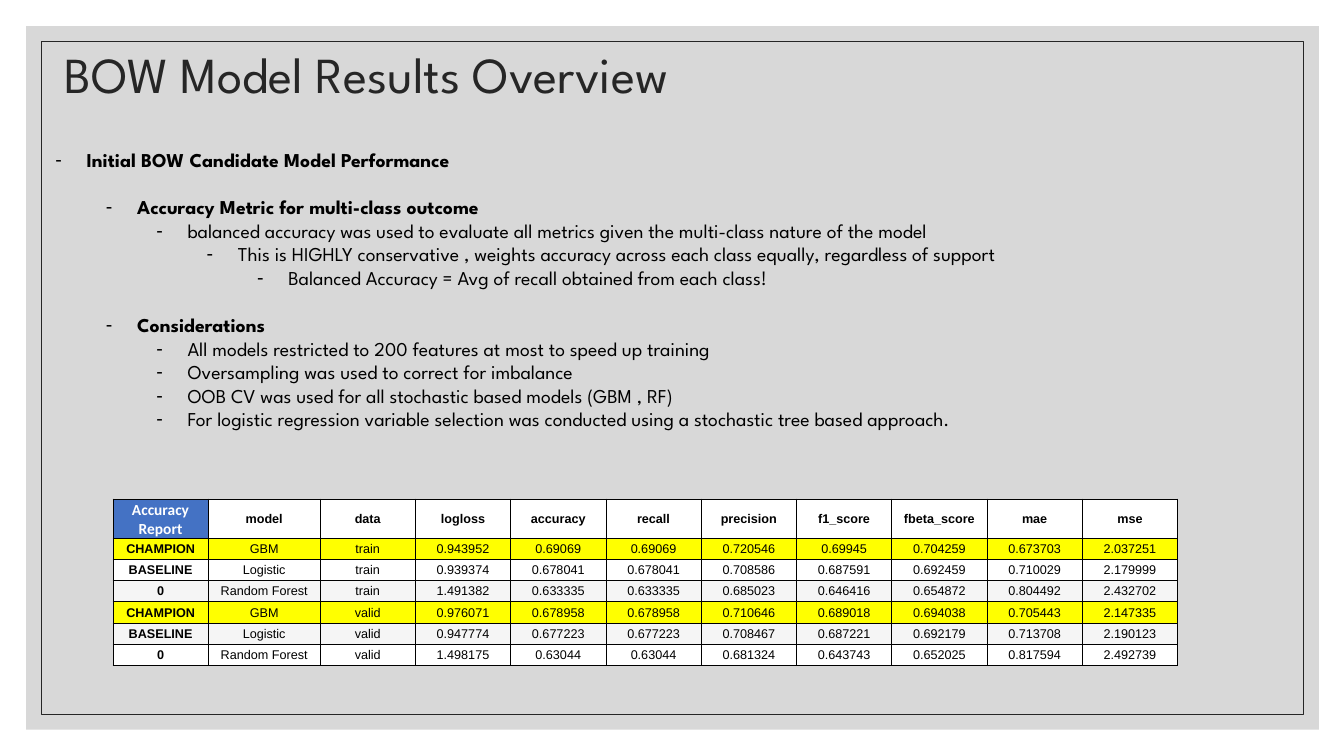
import pptx
import pptx.dml.color
import pptx.enum.shapes
import pptx.enum.text
import pptx.oxml.ns
import pptx.util
from lxml import etree

Inches = pptx.util.Inches
Pt = pptx.util.Pt
ANCHOR = pptx.enum.text.MSO_ANCHOR
ALIGN = pptx.enum.text.PP_ALIGN
qn = pptx.oxml.ns.qn

COLORS = {
    "panel": "BFBFBF",
    "title": "262626",
    "text": "000000",
    "white": "FFFFFF",
    "band": "F5F5F5",
    "champion": "FFFF00",
    "corner": "4472C4",
}
HEADING_FONT = "League Spartan"

# Level, text, bold, starts a new section
POINTS = [
    (0, "Initial BOW Candidate Model Performance", True, False),
    (1, "Accuracy Metric for multi-class outcome", True, True),
    (2, "balanced accuracy was used to evaluate all metrics given the multi-class nature of the model", False, False),
    (3, "This is HIGHLY conservative , weights accuracy across each class equally, regardless of support", False, False),
    (4, "Balanced Accuracy = Avg of recall obtained from each class!", False, False),
    (1, "Considerations", True, True),
    (2, "All models restricted to 200 features at most to speed up training", False, False),
    (2, "Oversampling was used to correct for imbalance", False, False),
    (2, "OOB CV was used for all stochastic based models (GBM , RF)", False, False),
    (2, "For logistic regression variable selection was conducted using a stochastic tree based approach.", False, False),
]

HEADER = ["Accuracy Report", "model", "data", "logloss", "accuracy", "recall",
          "precision", "f1_score", "fbeta_score", "mae", "mse"]
# Row fill, then the cells
RESULTS = [
    ("champion", "CHAMPION", "GBM", "train", "0.943952", "0.69069", "0.69069",
     "0.720546", "0.69945", "0.704259", "0.673703", "2.037251"),
    ("white", "BASELINE", "Logistic", "train", "0.939374", "0.678041", "0.678041",
     "0.708586", "0.687591", "0.692459", "0.710029", "2.179999"),
    ("band", "0", "Random Forest", "train", "1.491382", "0.633335", "0.633335",
     "0.685023", "0.646416", "0.654872", "0.804492", "2.432702"),
    ("champion", "CHAMPION", "GBM", "valid", "0.976071", "0.678958", "0.678958",
     "0.710646", "0.689018", "0.694038", "0.705443", "2.147335"),
    ("band", "BASELINE", "Logistic", "valid", "0.947774", "0.677223", "0.677223",
     "0.708467", "0.687221", "0.692179", "0.713708", "2.190123"),
    ("white", "0", "Random Forest", "valid", "1.498175", "0.63044", "0.63044",
     "0.681324", "0.643743", "0.652025", "0.817594", "2.492739"),
]


def rgb(name):
    return pptx.dml.color.RGBColor.from_string(COLORS[name])


def style_font(font, name, size, color, bold=False):
    font.name = name
    font.size = Pt(size)
    font.bold = bold
    font.color.rgb = rgb(color)


def place(shape, left, top, width, height):
    shape.left, shape.top = Inches(left), Inches(top)
    shape.width, shape.height = Inches(width), Inches(height)


def add_backdrop(slide, left, top, width, height):
    """Draw the translucent panel and its inner frame behind the placeholders."""
    inset = 0.15
    rectangle = pptx.enum.shapes.MSO_SHAPE.RECTANGLE
    panel = slide.shapes.add_shape(rectangle, Inches(left), Inches(top),
                                   Inches(width), Inches(height))
    panel.fill.solid()
    panel.fill.fore_color.rgb = rgb("panel")
    color = panel.fill._xPr.find(".//" + qn("a:srgbClr"))
    etree.SubElement(color, qn("a:alpha"), val="60000")
    panel.line.fill.background()

    frame = slide.shapes.add_shape(rectangle, Inches(left + inset), Inches(top + inset),
                                   Inches(width - 2 * inset), Inches(height - 2 * inset))
    frame.fill.background()
    frame.line.color.rgb = rgb("title")
    frame.line.width = Pt(0.5)

    for shape in (frame, panel):
        shape.shadow.inherit = False
        shape.element.getparent().insert(2, shape.element)


def fill_title(title, left, top, width, height):
    place(title, left, top, width, height)
    title.text_frame.text = "BOW Model Results Overview"
    title.text_frame.vertical_anchor = ANCHOR.MIDDLE
    paragraph = title.text_frame.paragraphs[0]
    paragraph.alignment = ALIGN.LEFT
    paragraph.line_spacing = 0.9
    style_font(paragraph.font, HEADING_FONT, 36, "title")


def fill_points(body, left, top, width, height):
    place(body, left, top, width, height)
    frame = body.text_frame
    frame.word_wrap = True
    frame.auto_size = pptx.enum.text.MSO_AUTO_SIZE.SHAPE_TO_FIT_TEXT
    frame.vertical_anchor = ANCHOR.TOP
    for index, (level, text, bold, new_section) in enumerate(POINTS):
        paragraph = frame.add_paragraph() if index else frame.paragraphs[0]
        paragraph.text = text
        paragraph.level = level
        paragraph.space_before = Pt(16.8 if new_section else 0)
        properties = paragraph._p.get_or_add_pPr()
        properties.set("marL", str(Inches(0.31 + 0.5 * level)))
        properties.set("indent", str(Inches(-0.31)))
        etree.SubElement(properties, qn("a:buChar"), char="-")
        style_font(paragraph.font, HEADING_FONT, 14, "text", bold)


def add_borders(cell):
    properties = cell._tc.get_or_add_tcPr()
    for index, side in enumerate(("a:lnL", "a:lnR", "a:lnT", "a:lnB")):
        line = etree.Element(qn(side), w=str(Pt(0.5)))
        fill = etree.SubElement(line, qn("a:solidFill"))
        etree.SubElement(fill, qn("a:srgbClr"), val=COLORS["text"])
        properties.insert(index, line)


def fill_cell(cell, text, fill, bold):
    cell.text = text
    cell.margin_left = cell.margin_right = cell.margin_top = Inches(0.01)
    cell.margin_bottom = 0
    cell.vertical_anchor = ANCHOR.MIDDLE
    cell.fill.solid()
    cell.fill.fore_color.rgb = rgb(fill)
    add_borders(cell)
    paragraph = cell.text_frame.paragraphs[0]
    paragraph.alignment = ALIGN.CENTER
    style_font(paragraph.font, "Arial", 9, "text", bold)


def add_results_table(slide, left, top, width, height):
    rows = [("white", *HEADER)] + RESULTS
    header_height, model_width = 0.39, 1.11
    table = slide.shapes.add_table(len(rows), len(HEADER), Inches(left), Inches(top),
                                   Inches(width), Inches(height)).table
    table.first_row = table.horz_banding = False
    for column in table.columns:
        column.width = Inches((width - model_width) / (len(HEADER) - 1))
    table.columns[1].width = Inches(model_width)
    for row in table.rows:
        row.height = Inches((height - header_height) / len(RESULTS))
    table.rows[0].height = Inches(header_height)

    for row_index, (fill, *texts) in enumerate(rows):
        for column_index, text in enumerate(texts):
            fill_cell(table.cell(row_index, column_index), text, fill,
                      bold=row_index == 0 or column_index == 0)

    corner = table.cell(0, 0)
    corner.fill.fore_color.rgb = rgb("corner")
    corner.vertical_anchor = ANCHOR.BOTTOM
    style_font(corner.text_frame.paragraphs[0].font, "Calibri", 11, "white", True)


def main():
    presentation = pptx.Presentation()
    presentation.slide_width = Inches(13.33)
    presentation.slide_height = Inches(7.5)
    slide = presentation.slides.add_slide(presentation.slide_layouts[1])
    add_backdrop(slide, 0.26, 0.26, 12.82, 6.98)
    fill_title(slide.shapes.title, 0.54, 0.43, 8.2, 0.67)
    fill_points(slide.placeholders[1], 0.45, 1.42, 10.89, 2.93)
    add_results_table(slide, 1.12, 4.95, 10.56, 1.65)
    presentation.save("out.pptx")


if __name__ == "__main__":
    main()
